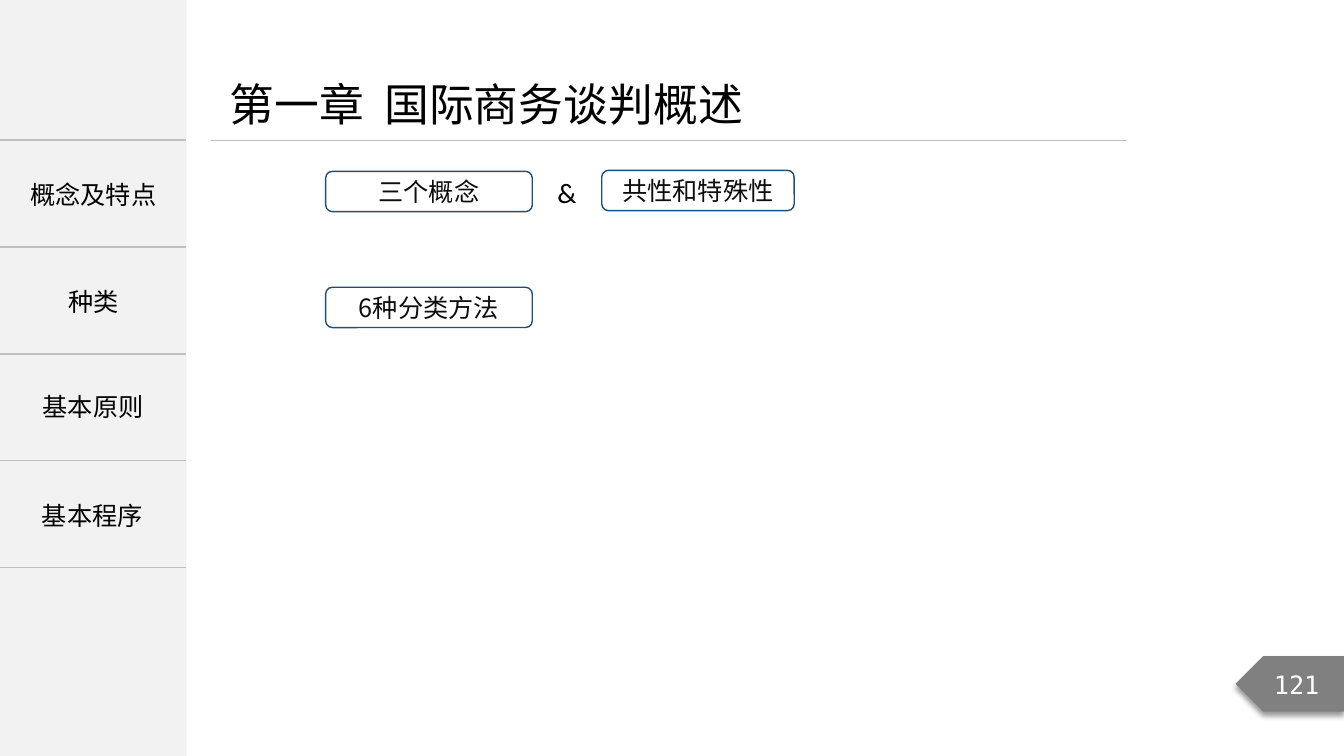
"""Build the chapter overview slide with its side menu."""
import pptx
import pptx.util
import pptx.dml.color
import pptx.enum.shapes
import pptx.enum.text
import pptx.oxml
import pptx.oxml.ns
from lxml import etree

Pt = pptx.util.Pt
KIND = pptx.enum.shapes.MSO_SHAPE
ALIGN = pptx.enum.text.PP_ALIGN
MIDDLE = pptx.enum.text.MSO_ANCHOR.MIDDLE
qn = pptx.oxml.ns.qn

HAN = "Noto Sans CJK SC"
BLACK, INK, NAVY, GREY = "000000", "0D0D0D", "1F4E79", "BFBFBF"
WIDE, HIGH = 960, 540
SIDE, TOP, ROW = 133.2, 100, 76.4

TITLE = "第一章  国际商务谈判概述"
MENU = ["概念及特点", "种类", "", ""]
NOTES = [
    ("基本原则", 23, 275.8, 87.1, 28.8, HAN, 18, ALIGN.CENTER, False),
    ("基本程序", 22.3, 354.2, 87.1, 28.8, HAN, 18, ALIGN.CENTER, False),
    ("&", 391, 121.7, 28.1, 31.7, "Calibri", 20, ALIGN.LEFT, True),
]
BOXES = [
    ("三个概念", 232.6, 122.4, 147.6),
    ("共性和特殊性", 429.8, 121.7, 137.5),
    ("6种分类方法", 232.6, 205.2, 147.6),
]
BOX_H = 28.8
PAGE = "121"


def color(code):
    return pptx.dml.color.RGBColor.from_string(code)


def write(frame, text, size=18, name=HAN, ink=BLACK, align=ALIGN.CENTER):
    para = frame.paragraphs[0]
    para.text = text
    para.alignment = align
    font = para.font
    font.size, font.name, font.bold = Pt(size), name, False
    font.color.rgb = color(ink)
    props = para._p.get_or_add_pPr().find(qn("a:defRPr"))
    etree.SubElement(props, qn("a:ea"), typeface=name)


def place(shape, *spot):
    shape.left, shape.top, shape.width, shape.height = map(Pt, spot)


def block(slide, kind, *spot, fill=None, line=None):
    shape = slide.shapes.add_shape(kind, *map(Pt, spot))
    if fill:
        shape.fill.solid()
        shape.fill.fore_color.rgb = color(fill)
    else:
        shape.fill.background()
    if line:
        shape.line.color.rgb = color(line)
        shape.line.width = Pt(1)
    else:
        shape.line.fill.background()
    shape.shadow.inherit = False
    shape.text_frame.vertical_anchor = MIDDLE
    return shape


def border(cell):
    props = cell._tc.get_or_add_tcPr()
    for side in "LRTB":
        edge = etree.SubElement(props, qn("a:ln" + side), w=str(Pt(1)))
        if side in "LR":
            etree.SubElement(edge, qn("a:noFill"))
        else:
            fill = etree.SubElement(edge, qn("a:solidFill"))
            etree.SubElement(fill, qn("a:srgbClr"), val=GREY)


def menu(slide):
    count = len(MENU)
    table = slide.shapes.add_table(
        count, 1, 0, Pt(TOP), Pt(SIDE), Pt(ROW * count)).table
    table.first_row = table.horz_banding = False
    table.columns[0].width = Pt(SIDE)
    for row, text in zip(table.rows, MENU):
        row.height = Pt(ROW)
        cell = row.cells[0]
        border(cell)
        cell.fill.background()
        cell.vertical_anchor = MIDDLE
        if text:
            write(cell.text_frame, text)


def tag(slide):
    shape = block(slide, KIND.PENTAGON, 882.5, 468.7, 77.5, 39.6,
                  fill="808080")
    props = shape._element.spPr
    props.find(qn("a:xfrm")).set("flipH", "1")
    shade = etree.SubElement(
        props.find(qn("a:effectLst")), qn("a:outerShdw"),
        blurRad=str(Pt(4)), dist=str(Pt(3)), dir="5400000",
        algn="t", rotWithShape="0")
    tone = etree.SubElement(shade, qn("a:srgbClr"), val=BLACK)
    etree.SubElement(tone, qn("a:alpha"), val="40000")
    write(shape.text_frame, PAGE, name="DejaVu Sans Mono", ink="FFFFFF")


def main():
    deck = pptx.Presentation()
    deck.slide_width, deck.slide_height = Pt(WIDE), Pt(HIGH)
    slide = deck.slides.add_slide(deck.slide_layouts[5])

    block(slide, KIND.RECTANGLE, 0, 0, SIDE, HIGH, fill="F2F2F2")
    menu(slide)

    rule = slide.shapes.add_connector(
        pptx.enum.shapes.MSO_CONNECTOR.STRAIGHT,
        Pt(150.5), Pt(TOP), Pt(805), Pt(TOP))
    rule.line.color.rgb = color(GREY)
    rule.line.width = Pt(0.5)
    etree.SubElement(rule._element.spPr, qn("a:effectLst"))

    title = slide.shapes.title
    place(title, 157, 51.1, 402.5, 46.1)
    frame = title.text_frame
    frame.word_wrap = False
    frame.vertical_anchor = MIDDLE
    write(frame, TITLE, size=32, align=ALIGN.LEFT)

    tag(slide)
    for text, left, top, wide, high, name, size, align, wrap in NOTES:
        note = slide.shapes.add_textbox(*map(Pt, (left, top, wide, high)))
        note.text_frame.word_wrap = wrap
        write(note.text_frame, text, size, name, align=align)
    for text, left, top, wide in BOXES:
        box = block(slide, KIND.ROUNDED_RECTANGLE, left, top, wide, BOX_H,
                    line=NAVY)
        write(box.text_frame, text, ink=INK)

    deck.save("out.pptx")


if __name__ == "__main__":
    main()
